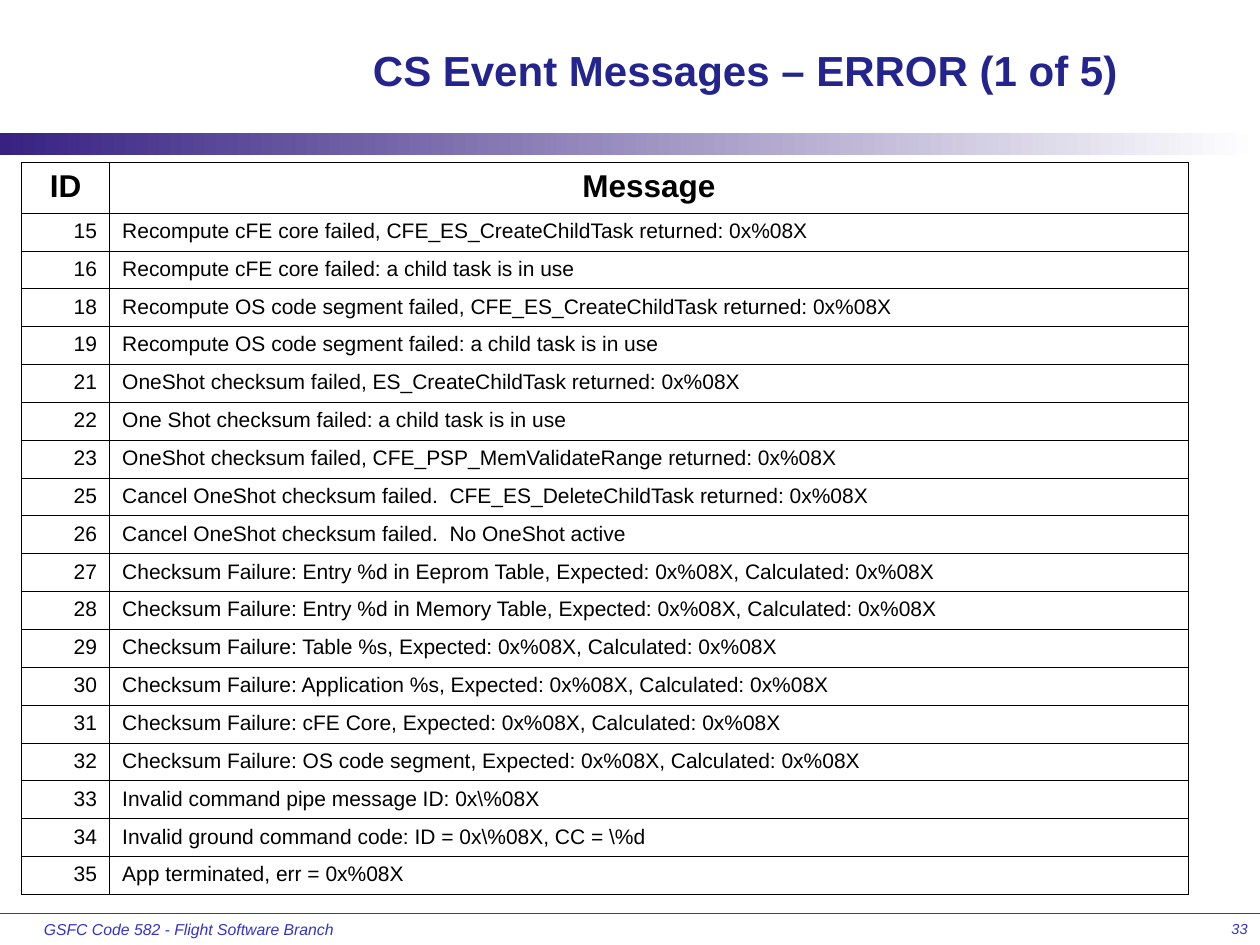
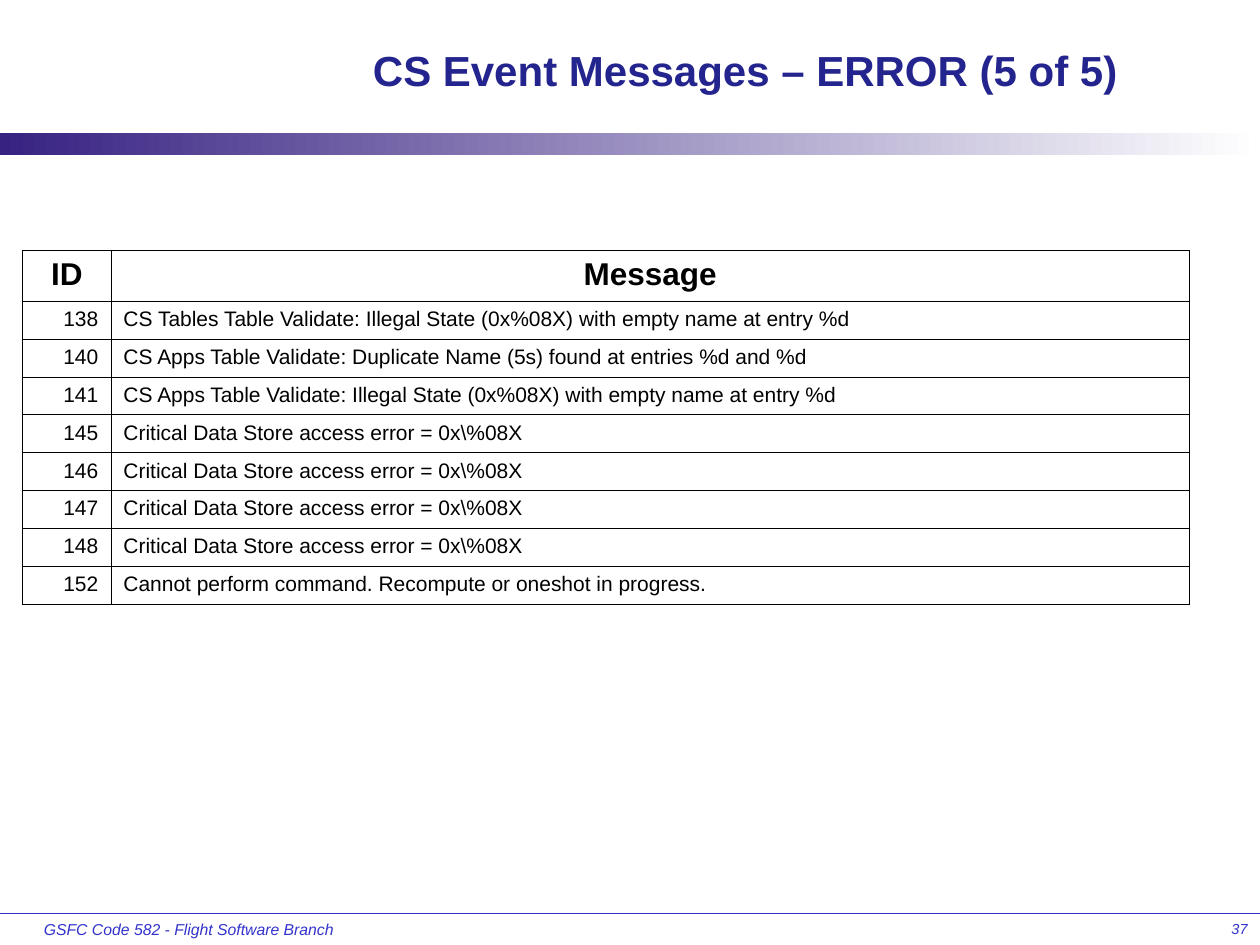
from dataclasses import dataclass

from lxml.etree import SubElement
from pptx import Presentation
from pptx.dml.color import RGBColor
from pptx.enum.shapes import MSO_CONNECTOR, MSO_SHAPE
from pptx.enum.text import MSO_ANCHOR, PP_ALIGN
from pptx.oxml import parse_xml
from pptx.oxml.ns import nsdecls, qn
from pptx.util import Inches, Length, Pt


@dataclass(frozen=True)
class Theme:
    font: str = "Arial"
    title_color: RGBColor = RGBColor(0x24, 0x24, 0x8E)
    footer_color: RGBColor = RGBColor(0x33, 0x33, 0xCC)
    band_start: RGBColor = RGBColor(0x37, 0x22, 0x82)
    band_end: RGBColor = RGBColor(0xFF, 0xFF, 0xFF)
    text_color: RGBColor = RGBColor(0, 0, 0)
    title_size: Length = Pt(24)
    header_size: Length = Pt(18)
    message_size: Length = Pt(12)
    footer_size: Length = Pt(9)
    number_size: Length = Pt(8.3)
    rule_width: Length = Pt(0.75)
    border_width: Length = Pt(0.45)


@dataclass(frozen=True)
class EventMessage:
    event_id: int
    message: str


@dataclass(frozen=True)
class EventSlide:
    sequence: int
    number: int
    left: Length
    top: Length
    events: list[EventMessage]


THEME = Theme()
SLIDE_WIDTH, SLIDE_HEIGHT = Inches(10), Inches(7.5)
FOOTER_TOP, FOOTER_HEIGHT = Inches(7.25), Inches(0.25)
COLUMN_WIDTHS = (Inches(0.7), Inches(8.56))
HEADER_HEIGHT, ROW_HEIGHT = Inches(0.4), Inches(0.3)
SEQUENCE_LENGTH = 5
FOOTER = "GSFC Code 582 - Flight Software Branch"
CDS_ERROR = r"Critical Data Store access error = 0x\%08X"

EVENT_SLIDES = [
    EventSlide(1, 33, Inches(0.17), Inches(1.29), [
        EventMessage(15, "Recompute cFE core failed, CFE_ES_CreateChildTask returned: 0x%08X"),
        EventMessage(16, "Recompute cFE core failed: a child task is in use"),
        EventMessage(18, "Recompute OS code segment failed, CFE_ES_CreateChildTask returned: 0x%08X"),
        EventMessage(19, "Recompute OS code segment failed: a child task is in use"),
        EventMessage(21, "OneShot checksum failed, ES_CreateChildTask returned: 0x%08X"),
        EventMessage(22, "One Shot checksum failed: a child task is in use"),
        EventMessage(23, "OneShot checksum failed, CFE_PSP_MemValidateRange returned: 0x%08X"),
        EventMessage(25, "Cancel OneShot checksum failed.  CFE_ES_DeleteChildTask returned: 0x%08X"),
        EventMessage(26, "Cancel OneShot checksum failed.  No OneShot active"),
        EventMessage(27, "Checksum Failure: Entry %d in Eeprom Table, Expected: 0x%08X, Calculated: 0x%08X"),
        EventMessage(28, "Checksum Failure: Entry %d in Memory Table, Expected: 0x%08X, Calculated: 0x%08X"),
        EventMessage(29, "Checksum Failure: Table %s, Expected: 0x%08X, Calculated: 0x%08X"),
        EventMessage(30, "Checksum Failure: Application %s, Expected: 0x%08X, Calculated: 0x%08X"),
        EventMessage(31, "Checksum Failure: cFE Core, Expected: 0x%08X, Calculated: 0x%08X"),
        EventMessage(32, "Checksum Failure: OS code segment, Expected: 0x%08X, Calculated: 0x%08X"),
        EventMessage(33, r"Invalid command pipe message ID: 0x\%08X"),
        EventMessage(34, r"Invalid ground command code: ID = 0x\%08X, CC = \%d"),
        EventMessage(35, "App terminated, err = 0x%08X"),
    ]),
    EventSlide(5, 37, Inches(0.18), Inches(1.99), [
        EventMessage(138, "CS Tables Table Validate: Illegal State (0x%08X) with empty name at entry %d"),
        EventMessage(140, "CS Apps Table Validate: Duplicate Name (5s) found at entries %d and %d"),
        EventMessage(141, "CS Apps Table Validate: Illegal State (0x%08X) with empty name at entry %d"),
        *(EventMessage(event_id, CDS_ERROR) for event_id in range(145, 149)),
        EventMessage(152, "Cannot perform command. Recompute or oneshot in progress."),
    ]),
]


def write(frame, text: str, size: Length, color: RGBColor, align: PP_ALIGN,
          bold: bool = False, italic: bool = False) -> None:
    frame.text = text
    paragraph = frame.paragraphs[0]
    paragraph.alignment = align
    font = paragraph.runs[0].font
    font.name, font.size, font.bold, font.italic = THEME.font, size, bold, italic
    font.color.rgb = color


def add_footer_text(slide, left: Length, width: Length, text: str,
                    size: Length, align: PP_ALIGN) -> None:
    frame = slide.shapes.add_textbox(left, FOOTER_TOP, width, FOOTER_HEIGHT).text_frame
    write(frame, text, size, THEME.footer_color, align, italic=True)


def add_frame(slide, title: str, number: int) -> None:
    rule = slide.shapes.add_connector(
        MSO_CONNECTOR.STRAIGHT, 0, FOOTER_TOP, SLIDE_WIDTH, FOOTER_TOP)
    rule.line.color.rgb = THEME.footer_color
    rule.line.width = THEME.rule_width
    SubElement(rule._element.spPr, qn("a:effectLst"))

    band = slide.shapes.add_shape(
        MSO_SHAPE.RECTANGLE, 0, Inches(1.06), SLIDE_WIDTH, Inches(0.17))
    band.shadow.inherit = False
    band.line.fill.background()
    band.fill.gradient()
    band.fill.gradient_angle = 0
    for stop, color in zip(band.fill.gradient_stops, (THEME.band_start, THEME.band_end)):
        stop.color.rgb = color

    add_footer_text(slide, Inches(0.25), Inches(2.5), FOOTER,
                    THEME.footer_size, PP_ALIGN.LEFT)
    add_footer_text(slide, Inches(7.92), Inches(2.08), str(number),
                    THEME.number_size, PP_ALIGN.RIGHT)

    heading = slide.shapes.title
    heading.left, heading.top = Inches(2.08), Inches(0.17)
    heading.width, heading.height = Inches(7.67), Inches(0.76)
    heading.text_frame.vertical_anchor = MSO_ANCHOR.MIDDLE
    write(heading.text_frame, title, THEME.title_size, THEME.title_color,
          PP_ALIGN.CENTER, bold=True)


def outline_cell(cell) -> None:
    cell.fill.background()
    properties = cell._tc.get_or_add_tcPr()
    for position, side in enumerate(("lnL", "lnR", "lnT", "lnB")):
        properties.insert(position, parse_xml(
            f'<a:{side} {nsdecls("a")} w="{THEME.border_width}"><a:solidFill>'
            f'<a:srgbClr val="{THEME.text_color}"/></a:solidFill></a:{side}>'))


def add_event_table(slide, content: EventSlide) -> None:
    rows = [("ID", "Message"), *((str(e.event_id), e.message) for e in content.events)]
    heights = [HEADER_HEIGHT] + [ROW_HEIGHT] * len(content.events)
    table = slide.shapes.add_table(
        len(rows), len(COLUMN_WIDTHS), content.left, content.top,
        sum(COLUMN_WIDTHS), sum(heights)).table
    table.first_row = table.horz_banding = False
    for column, width in zip(table.columns, COLUMN_WIDTHS):
        column.width = width
    for index, (row, height, texts) in enumerate(zip(table.rows, heights, rows)):
        row.height = height
        is_header = index == 0
        size = THEME.header_size if is_header else THEME.message_size
        aligns = (PP_ALIGN.CENTER,) * 2 if is_header else (PP_ALIGN.RIGHT, PP_ALIGN.LEFT)
        for cell, text, align in zip(row.cells, texts, aligns):
            write(cell.text_frame, text, size, THEME.text_color, align, bold=is_header)
            outline_cell(cell)


def main() -> None:
    deck = Presentation()
    deck.slide_width, deck.slide_height = SLIDE_WIDTH, SLIDE_HEIGHT
    title_only = deck.slide_layouts[5]
    for content in EVENT_SLIDES:
        slide = deck.slides.add_slide(title_only)
        title = f"CS Event Messages – ERROR ({content.sequence} of {SEQUENCE_LENGTH})"
        add_frame(slide, title, content.number)
        add_event_table(slide, content)
    deck.save("out.pptx")


if __name__ == "__main__":
    main()
